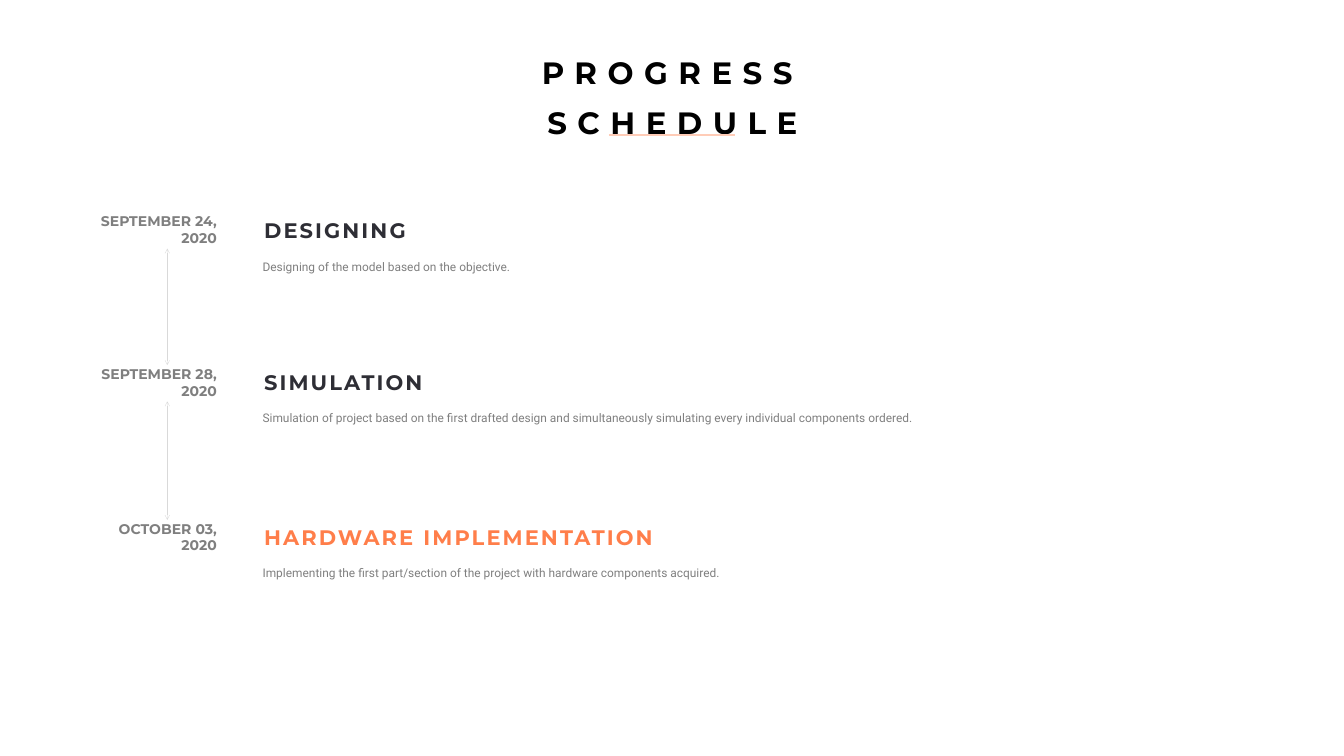
from lxml import etree
from pptx import Presentation
from pptx.dml.color import RGBColor
from pptx.enum import shapes, text
from pptx.oxml import ns
from pptx.util import Cm, Pt

BLACK = RGBColor(0, 0, 0)
DARK = RGBColor(0x2E, 0x2E, 0x35)
GRAY = RGBColor(0x7F, 0x7F, 0x7F)
PALE = RGBColor(0xD9, 0xD9, 0xD9)
CORAL = RGBColor(0xFF, 0x7E, 0x4A)
PEACH = RGBColor(0xFF, 0xCC, 0xB7)
HEAD = "Montserrat"
BODY = "Roboto"
LEFT = text.PP_ALIGN.LEFT
RIGHT = text.PP_ALIGN.RIGHT
CENTER = text.PP_ALIGN.CENTER
JUST = text.PP_ALIGN.JUSTIFY
TOP = text.MSO_ANCHOR.TOP
MID = text.MSO_ANCHOR.MIDDLE

STEPS = [
    (10.8, "SEPTEMBER 24, 2020", "DESIGNING", DARK,
     "Designing of the model based on the objective.", LEFT, Pt(26.5)),
    (18.5, "SEPTEMBER 28, 2020", "SIMULATION", DARK,
     "Simulation of project based on the first drafted design and "
     "simultaneously simulating every individual components ordered.",
     JUST, 1.2),
    (26.3, "OCTOBER 03, 2020", "HARDWARE IMPLEMENTATION", CORAL,
     "Implementing the first part/section of the project with hardware "
     "components acquired.", JUST, 1.2),
]


class Deck:
    def __init__(self, slide):
        self.slide = slide

    def fill(self, frame, words, size, color, font=HEAD, bold=True,
             align=LEFT, anchor=MID, gap=0, line=None):
        frame.word_wrap = True
        frame.auto_size = text.MSO_AUTO_SIZE.NONE
        frame.vertical_anchor = anchor
        para = frame.paragraphs[0]
        para.alignment = align
        para.space_before = Pt(0)
        if line:
            para.line_spacing = line
        run = para.add_run()
        run.text = words
        run.font.name = font
        run.font.size = Pt(size)
        run.font.bold = bold
        run.font.color.rgb = color
        if gap:
            run._r.get_or_add_rPr().set("spc", str(gap * 100))

    def box(self, x, y, w, h):
        return self.slide.shapes.add_textbox(Cm(x), Cm(y), Cm(w), Cm(h)).text_frame

    def title(self, words, x, y, w, h):
        shape = self.slide.shapes.title
        shape.left, shape.top, shape.width, shape.height = Cm(x), Cm(y), Cm(w), Cm(h)
        self.fill(shape.text_frame, words, 44, BLACK, align=CENTER, gap=15,
                  line=Pt(70.6))

    def date(self, words, top):
        self.fill(self.box(4.47, top + 0.2, 6.71, 1.12), words, 20, GRAY, align=RIGHT)

    def name(self, words, top, color):
        self.fill(self.box(13.06, top, 25.48, 1.55), words, 30, color, gap=3)

    def note(self, words, top, align, line):
        frame = self.box(12.62, top + 1.76, 49.25, 1.45)
        frame.margin_left = frame.margin_right = Cm(0.61)
        frame.margin_top = frame.margin_bottom = Cm(0.3)
        self.fill(frame, words, 17, GRAY, BODY, False, align, TOP, line=line)

    def rule(self, x1, y1, x2, y2, color, width, arrows=False):
        rule = self.slide.shapes.add_connector(
            shapes.MSO_CONNECTOR.STRAIGHT, Cm(x1), Cm(y1), Cm(x2), Cm(y2))
        rule.line.color.rgb = color
        rule.line.width = Pt(width)
        if arrows:
            for end in ("a:headEnd", "a:tailEnd"):
                etree.SubElement(rule.line._get_or_add_ln(), ns.qn(end), type="arrow")
        etree.SubElement(rule._element.spPr, ns.qn("a:effectLst"))


def main():
    show = Presentation()
    show.slide_width, show.slide_height = Cm(67.72), Cm(38.1)
    deck = Deck(show.slides.add_slide(show.slide_layouts[5]))
    deck.title("PROGRESS SCHEDULE", 22.1, 3.3, 23.57, 2.57)
    deck.rule(30.68, 6.81, 37.03, 6.81, PEACH, 3)
    for top, date, name, color, note, align, line in STEPS:
        deck.date(date, top)
        deck.name(name, top, color)
        deck.note(note, top, align, line)
    for step, after in zip(STEPS, STEPS[1:]):
        deck.rule(8.43, step[0] + 1.73, 8.43, after[0] - 0.1, PALE, 0.5, True)
    show.save("out.pptx")


if __name__ == "__main__":
    main()
